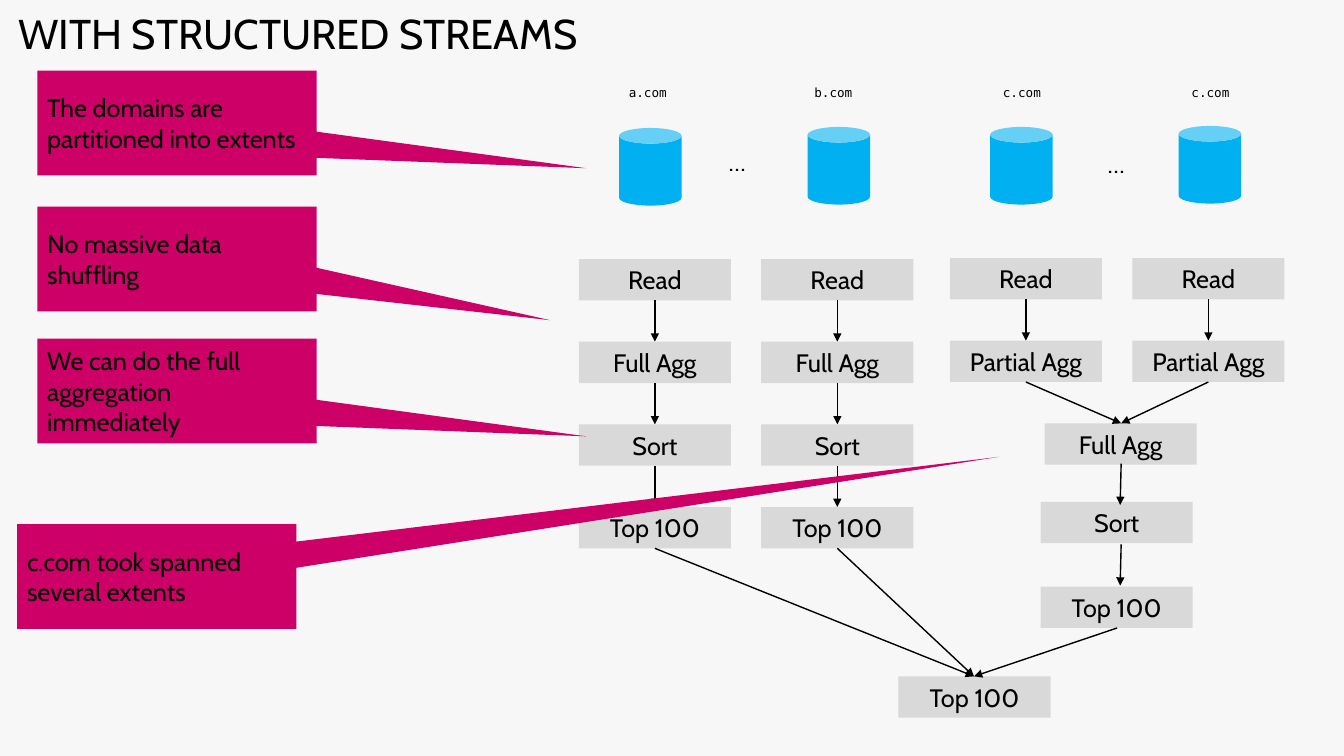
import pptx
import pptx.util
import pptx.dml.color
import pptx.enum.shapes
import pptx.enum.text
import pptx.oxml
from pptx.oxml import ns

Inches, Pt = pptx.util.Inches, pptx.util.Pt
SHAPE = pptx.enum.shapes.MSO_SHAPE
ALIGN = pptx.enum.text.PP_ALIGN
ANCHOR = pptx.enum.text.MSO_ANCHOR

TITLE = "WITH STRUCTURED STREAMS"
BACKGROUND, BLACK, GREY, BLUE, PINK = "F7F7F7", "000000", "D9D9D9", "00B0F0", "CC0066"
SANS, MONO = "Cabin", "DejaVu Sans Mono"
STEP_SIZE = (1.51, 0.41)
STEP_PITCH = 0.82
CALLOUT_SIZE = (2.77, 1.04)

# label, label left, cylinder left, cylinder top
DOMAINS = [
    ("a.com", 6.11, 6.14, 1.27),
    ("b.com", 7.95, 8.01, 1.26),
    ("c.com", 9.82, 9.82, 1.26),
    ("c.com", 11.69, 11.69, 1.25),
]
ELLIPSES = [(7.02, 1.45), (10.78, 1.47)]
# left, top, steps running downwards at an equal pitch
LANES = [
    (5.74, 2.57, ["Read", "Full Agg", "Sort", "Top 100"]),
    (7.55, 2.57, ["Read", "Full Agg", "Sort", "Top 100"]),
    (9.42, 2.56, ["Read", "Partial Agg"]),
    (11.23, 2.56, ["Read", "Partial Agg"]),
]
MERGED_STEPS = [
    ("Full Agg", 10.36, 4.2),
    ("Sort", 10.32, 4.98),
    ("Top 100", 10.32, 5.82),
    ("Top 100", 8.91, 6.71),
]
MERGE_POINT = (11.12, 4.2)
FINAL_POINT = (9.66, 6.71)
MERGED_ARROWS = [
    ((11.12, 4.6), (11.11, 5.01)),
    ((11.12, 5.4), (11.11, 5.81)),
    ((11.08, 6.23), FINAL_POINT),
]
# text, left, top, pointer offset as shares of width and height
CALLOUTS = [
    ("The domains are partitioned into extents", 0.37, 0.7, (1.466, 0.432)),
    ("We can do the full aggregation immediately", 0.37, 3.36, (1.466, 0.432)),
    ("No massive data shuffling", 0.37, 2.05, (1.337, 0.584)),
    ("c.com took spanned several extents", 0.17, 5.2, (3.016, -1.142)),
]


def color(value):
    return pptx.dml.color.RGBColor.from_string(value)


def write(shape, text, size=18, font=SANS, align=ALIGN.CENTER, anchor=ANCHOR.MIDDLE):
    frame = shape.text_frame
    frame.text = text
    frame.word_wrap = True
    frame.auto_size = pptx.enum.text.MSO_AUTO_SIZE.NONE
    frame.vertical_anchor = anchor
    para = frame.paragraphs[0]
    para.alignment = align
    span = para.runs[0]
    span.font.size = Pt(size)
    span.font.name = font
    span.font.color.rgb = color(BLACK)


def add_filled(page, kind, left, top, size, fill):
    shape = page.shapes.add_shape(kind, Inches(left), Inches(top), *map(Inches, size))
    shape.shadow.inherit = False
    shape.fill.solid()
    shape.fill.fore_color.rgb = color(fill)
    shape.line.fill.background()
    return shape


def add_step(page, text, left, top):
    write(add_filled(page, SHAPE.RECTANGLE, left, top, STEP_SIZE, GREY), text)


def add_label(page, text, left, top, width, height, **style):
    """Add a text box without insets."""
    box = page.shapes.add_textbox(*map(Inches, (left, top, width, height)))
    frame = box.text_frame
    frame.margin_left = frame.margin_right = frame.margin_top = frame.margin_bottom = 0
    write(box, text, **style)


def add_arrow(page, start, end):
    arrow = page.shapes.add_connector(
        pptx.enum.shapes.MSO_CONNECTOR.STRAIGHT, *map(Inches, start + end))
    arrow.line.color.rgb = color(BLACK)
    arrow.line.width = Pt(1)
    line = arrow.line._get_or_add_ln()
    line.append(pptx.oxml.parse_xml(f'<a:tailEnd {ns.nsdecls("a")} type="triangle"/>'))
    arrow._element.spPr.append(pptx.oxml.parse_xml(f'<a:effectLst {ns.nsdecls("a")}/>'))


def add_lane(page, left, top, steps):
    """Stack the steps, join them, and lead the last one to where lanes meet."""
    middle = left + STEP_SIZE[0] / 2
    for row, step in enumerate(steps):
        step_top = top + row * STEP_PITCH
        bottom = step_top + STEP_SIZE[1]
        add_step(page, step, left, step_top)
        if row < len(steps) - 1:
            end = (middle, step_top + STEP_PITCH)
        else:
            end = FINAL_POINT if step == "Top 100" else MERGE_POINT
        add_arrow(page, (middle, bottom), end)


def main():
    deck = pptx.Presentation()
    deck.slide_width, deck.slide_height = Inches(13.33), Inches(7.5)
    page = deck.slides.add_slide(deck.slide_layouts[5])
    page.background.fill.solid()
    page.background.fill.fore_color.rgb = color(BACKGROUND)

    title = page.shapes.title
    title.left, title.top, title.width, title.height = map(Inches, (0.08, 0.08, 9.15, 0.5))
    write(title, TITLE, size=29.7, align=ALIGN.LEFT)

    for label, label_left, left, top in DOMAINS:
        add_filled(page, SHAPE.CAN, left, top, (0.62, 0.77), BLUE)
        add_label(page, label, label_left, 0.69, 0.63, 0.45, size=9, font=MONO)
    for left, top in ELLIPSES:
        add_label(page, "…", left, top, 0.58, 0.3, anchor=ANCHOR.TOP)

    for step in MERGED_STEPS:
        add_step(page, *step)
    for lane in LANES:
        add_lane(page, *lane)
    for start, end in MERGED_ARROWS:
        add_arrow(page, start, end)

    for text, left, top, pointer in CALLOUTS:
        callout = add_filled(page, SHAPE.RECTANGULAR_CALLOUT, left, top, CALLOUT_SIZE, PINK)
        callout.adjustments[0], callout.adjustments[1] = pointer
        write(callout, text, align=ALIGN.LEFT)

    deck.save("out.pptx")


if __name__ == "__main__":
    main()
